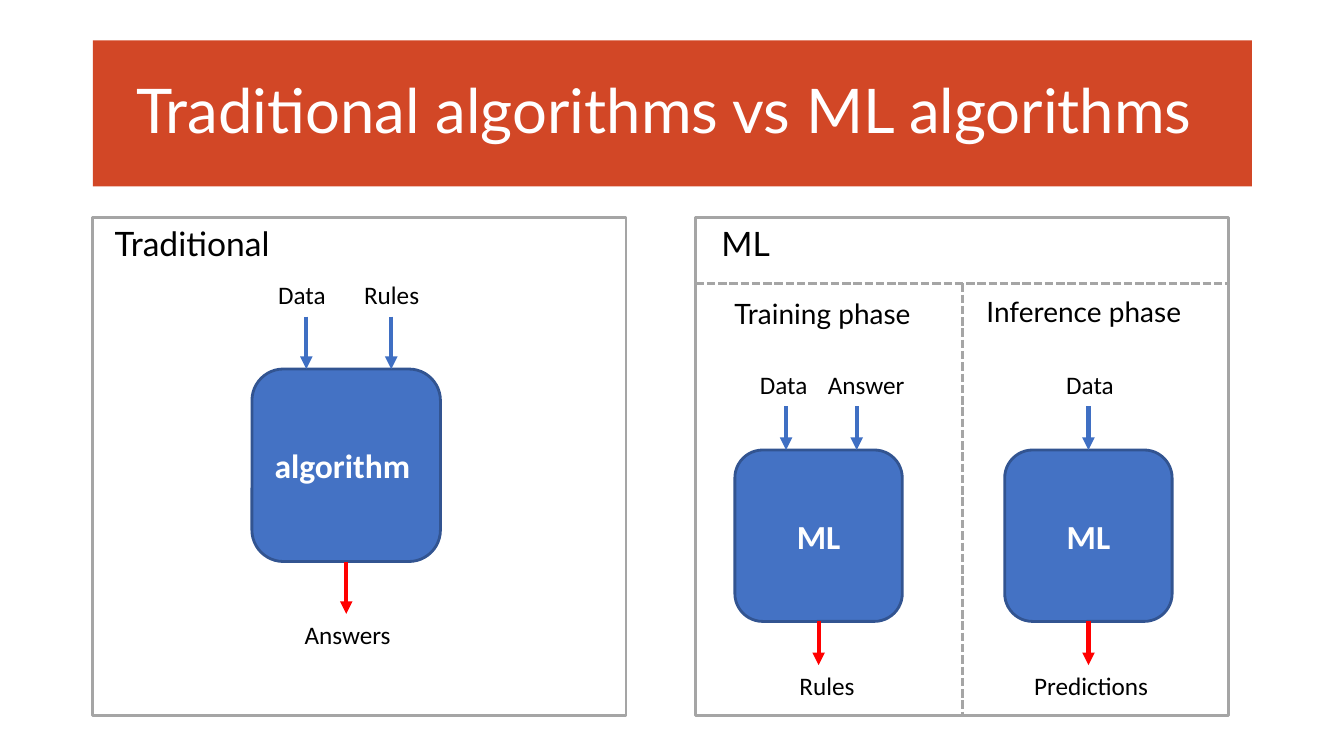
from lxml import etree
from pptx import Presentation
from pptx.dml.color import RGBColor
from pptx.enum.dml import MSO_LINE
from pptx.enum.shapes import MSO_CONNECTOR, MSO_SHAPE
from pptx.enum.text import MSO_ANCHOR, PP_ALIGN
from pptx.oxml.ns import qn
from pptx.util import Cm, Pt

RECT, ROUNDED = MSO_SHAPE.RECTANGLE, MSO_SHAPE.ROUNDED_RECTANGLE
STRAIGHT = MSO_CONNECTOR.STRAIGHT
DASH = MSO_LINE.SQUARE_DOT
LEFT, CENTER = PP_ALIGN.LEFT, PP_ALIGN.CENTER
TOP, MIDDLE = MSO_ANCHOR.TOP, MSO_ANCHOR.MIDDLE
TOP_SIDE, BOTTOM_SIDE = 0, 2

COLORS = {
    "banner": "D24726", "box": "4472C4", "box_edge": "325491", "input": "3F6FC3",
    "output": "FF0000", "frame": "A5A5A5", "text": "000000", "white": "FFFFFF",
}

presentation = Presentation()
presentation.slide_width, presentation.slide_height = Cm(33.87), Cm(19.05)
slide = presentation.slides.add_slide(presentation.slide_layouts[6])
shapes = slide.shapes


def add_text(text, left, top, width, height, shape=None, fill=None, edge=None, size=18,
             font="Calibri", color="text", bold=False, align=CENTER, anchor=TOP, spacing=None):
    """Add a text box, or a preset shape with text, measured in centimetres."""
    place = Cm(left), Cm(top), Cm(width), Cm(height)
    if shape is None:
        item = shapes.add_textbox(*place)
    else:
        item = shapes.add_shape(shape, *place)
        item.shadow.inherit = False
        if fill:
            item.fill.solid()
            item.fill.fore_color.rgb = RGBColor.from_string(COLORS[fill])
        else:
            item.fill.background()
        if edge:
            item.line.color.rgb = RGBColor.from_string(COLORS[edge])
            item.line.width = Pt(2)
        else:
            item.line.fill.background()
    frame = item.text_frame
    frame.word_wrap = True
    frame.vertical_anchor = anchor
    if text:
        paragraph = frame.paragraphs[0]
        paragraph.alignment = align
        paragraph.line_spacing = spacing
        run = paragraph.add_run()
        run.text = text
        run.font.name, run.font.size, run.font.bold = font, Pt(size), bold
        run.font.color.rgb = RGBColor.from_string(COLORS[color])
    return item


def add_line(x1, y1, x2, y2, color, width=3, dash=None, arrow=True):
    line = shapes.add_connector(STRAIGHT, Cm(x1), Cm(y1), Cm(x2), Cm(y2))
    line.line.color.rgb = RGBColor.from_string(COLORS[color])
    line.line.width = Pt(width)
    if dash:
        line.line.dash_style = dash
    if arrow:
        etree.SubElement(line.line._get_or_add_ln(), qn("a:tailEnd"), type="triangle")
    etree.SubElement(line._element.spPr, qn("a:effectLst"))
    return line


# Title banner
add_text("Traditional algorithms vs ML algorithms ", 2.34, 1.02, 29.21, 3.68, shape=RECT,
         fill="banner", size=44, font="Lato", color="white", anchor=MIDDLE, spacing=0.9)

# Two panels with their headings
PANEL_TOP, PANEL_WIDTH, PANEL_HEIGHT = 5.49, 13.44, 12.55
ML_LEFT, DIVIDER_Y = 17.53, 7.14
for heading, panel_left, heading_left in [("Traditional", 2.34, 2.64), ("ML", ML_LEFT, 17.93)]:
    panel = add_text("", panel_left, PANEL_TOP, PANEL_WIDTH, PANEL_HEIGHT,
                     shape=RECT, edge="frame")
    add_text(heading, heading_left, PANEL_TOP, 5.23, 1.27, size=24, font="Lato", align=LEFT)

# Dashed dividers of the ML panel, the last one drawn
ml_middle = ML_LEFT + PANEL_WIDTH / 2
add_line(ML_LEFT, DIVIDER_Y, ML_LEFT + PANEL_WIDTH, DIVIDER_Y, "frame",
         width=2, dash=DASH, arrow=False)
phase_divider = add_line(ml_middle, DIVIDER_Y, ml_middle, PANEL_TOP + PANEL_HEIGHT, "frame",
                         width=2, dash=DASH, arrow=False)
phase_divider.end_connect(panel, BOTTOM_SIDE)

# Phase headings
for phase, phase_left, phase_top, phase_width in [("Training phase", 18.26, 7.35, 5.23),
                                                  ("Inference phase", 24.61, 7.3, 5.97)]:
    add_text(phase, phase_left, phase_top, phase_width, 1.1, size=20, font="Lato", align=LEFT)

# Models: name, left, top, width, height, arrow length,
# inputs (label, label centre, label width, arrow x or None for the middle),
# output (label, label centre, label width)
MODELS = [
    ("algorithm ", 6.35, 9.3, 4.75, 4.85, 1.32,
     [("Data", 7.61, 2.2, 7.72), ("Rules", 9.87, 2.2, 9.86)], ("Answers", 8.76, 2.9)),
    ("ML", 18.52, 11.34, 4.22, 4.32, 1.1,
     [("Data", 19.75, 1.96, 19.81), ("Answer", 21.83, 2.57, 21.59)], ("Rules", 20.84, 1.96)),
    ("ML", 25.32, 11.34, 4.22, 4.32, 1.1,
     [("Data", 27.47, 1.96, None)], ("Predictions ", 27.57, 3.53)),
]
LABEL_HEIGHT, LABEL_RISE = 1.02, 1.07
for name, left, top, width, height, length, inputs, output in MODELS:
    model = add_text(name, left, top, width, height, shape=ROUNDED, fill="box", edge="box_edge",
                     size=24, color="white", bold=True, anchor=MIDDLE)
    middle, bottom = left + width / 2, top + height

    for label, label_center, label_width, arrow_x in inputs:
        add_text(label, label_center - label_width / 2, top - length - LABEL_RISE,
                 label_width, LABEL_HEIGHT)
        x = arrow_x or middle
        input_arrow = add_line(x, top - length, x, top, "input")
        if arrow_x is None:
            input_arrow.end_connect(model, TOP_SIDE)

    output_arrow = add_line(middle, bottom, middle, bottom + length, "output")
    output_arrow.begin_connect(model, BOTTOM_SIDE)
    label, label_center, label_width = output
    add_text(label, label_center - label_width / 2, bottom + length, label_width, LABEL_HEIGHT)

presentation.save("out.pptx")
